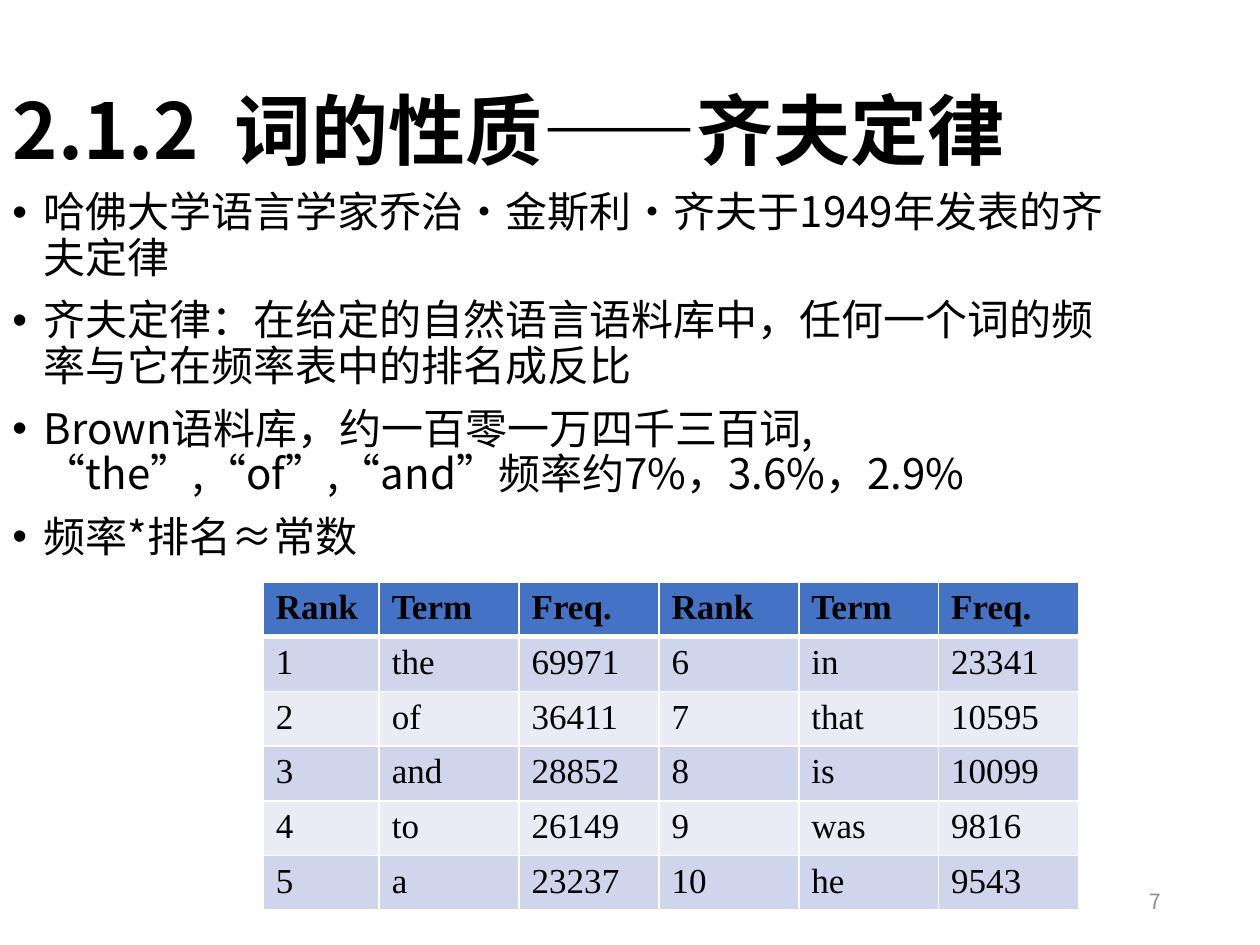
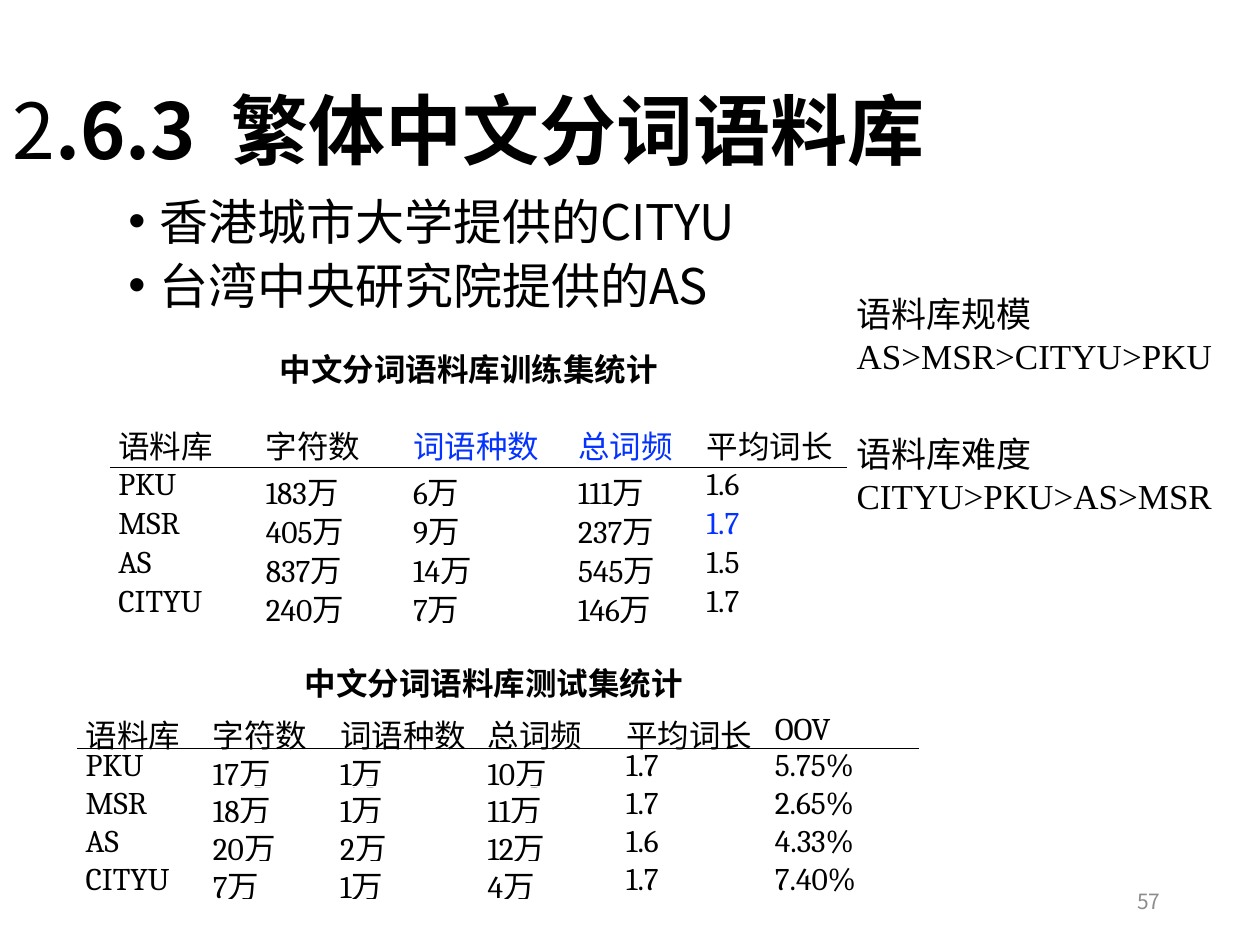
from lxml import etree
from pptx import Presentation
from pptx import util as u
from pptx.dml.color import RGBColor
from pptx.enum import text
from pptx.oxml.ns import qn

SANS, SERIF, BOOK = "Noto Sans CJK SC", "Times New Roman", "Cambria"
BLACK, GREY, WHITE, BLUE = "000000", "8C8C8C", "FFFFFF", "0432FF"
HEADER, BANDS = "4472C4", ("CFD5EA", "E9EBF5")


def color(value):
    return RGBColor.from_string(value)


class Lecture:
    """Hold the deck style and current page; lengths are cells of a 100 by 75 grid."""

    def __init__(self):
        self.deck = Presentation()
        self.deck.slide_width, self.deck.slide_height = u.Inches(10), u.Inches(7.5)

    def size(self, cells):
        return round(cells * self.deck.slide_width / 100)

    def style(self, span, size, font=SANS, shade=BLACK, bold=False):
        span.font.name, span.font.size, span.font.bold = font, u.Pt(size), bold
        span.font.color.rgb = color(shade)
        etree.SubElement(span._r.get_or_add_rPr(), qn("a:ea")).set("typeface", SANS)

    def page(self, number, title):
        self.slide = self.deck.slides.add_slide(self.deck.slide_layouts[5])
        self.title(title)
        self.lines([str(number)], (70.6, 69.5, 22.5, 4), 12, shade=GREY,
                   anchor=text.MSO_ANCHOR.MIDDLE, align=text.PP_ALIGN.RIGHT)

    def title(self, parts):
        box = self.slide.shapes.title
        box.left, box.top, box.width, box.height = map(self.size, (0, 5.8, 87.7, 9.7))
        frame = box.text_frame
        frame.auto_size = text.MSO_AUTO_SIZE.NONE
        frame.vertical_anchor = text.MSO_ANCHOR.MIDDLE
        para = frame.paragraphs[0]
        para.alignment, para.line_spacing = text.PP_ALIGN.LEFT, 0.9
        for words, bold in parts:
            span = para.add_run()
            span.text = words
            self.style(span, 44, bold=bold)
            if words == " ":
                span._r.get_or_add_rPr().set("spc", "1000")

    def lines(self, rows, place, size, font=SANS, shade=BLACK, bold=False, wrap=True,
              anchor=text.MSO_ANCHOR.TOP, align=text.PP_ALIGN.LEFT):
        box = self.slide.shapes.add_textbox(*map(self.size, place))
        frame = box.text_frame
        frame.word_wrap, frame.vertical_anchor = wrap, anchor
        frame.text = "\n".join(rows)
        for para in frame.paragraphs:
            para.alignment = align
            self.style(para.runs[0], size, font, shade, bold)
        return frame.paragraphs

    def bullets(self, rows, place, size, spacing):
        for index, para in enumerate(self.lines(rows, place, size)):
            para.line_spacing = spacing
            if index:
                para.space_before = u.Pt(10)
            props = para._p.get_or_add_pPr()
            props.set("marL", str(u.Inches(0.25)))
            props.set("indent", str(-u.Inches(0.25)))
            etree.SubElement(props, qn("a:buFont")).set("typeface", "Arial")
            etree.SubElement(props, qn("a:buChar")).set("char", "•")

    def table(self, rows, place, widths, heights):
        frame = self.slide.shapes.add_table(len(rows), len(widths), *map(self.size, place))
        table = frame.table
        table.first_row = table.horz_banding = False
        for column, width in zip(table.columns, widths):
            column.width = self.size(width)
        for row, height in zip(table.rows, heights):
            row.height = self.size(height)
        frame.height = self.size(place[3])
        for r, values in enumerate(rows):
            for c, value in enumerate(values):
                cell = table.cell(r, c)
                cell.text_frame.text = value
                yield r, c, cell, cell.text_frame.paragraphs[0].runs[0]

    def border(self, cell, sides):
        for side, (shade, width) in sides.items():
            line = etree.SubElement(cell._tc.get_or_add_tcPr(), qn(f"a:ln{side}"))
            line.set("w", str(u.Pt(width)))
            fill = etree.SubElement(line, qn("a:solidFill"))
            etree.SubElement(fill, qn("a:srgbClr")).set("val", shade)

    def banded_table(self, rows, place, widths, heights):
        for r, c, cell, span in self.table(rows, place, widths, heights):
            sides = {side: (WHITE, 1) for side in "LRTB"}
            if r < 2:
                sides["TB"[r == 0]] = (WHITE, 3)
            self.border(cell, sides)
            cell.fill.solid()
            cell.fill.fore_color.rgb = color(BANDS[(r - 1) % 2] if r else HEADER)
            self.style(span, 20, SERIF, bold=r == 0)

    def ruled_table(self, rows, place, widths, heights, marked=()):
        for r, c, cell, span in self.table(rows, place, widths, heights):
            cell.margin_left = cell.margin_right = self.size(0.6)
            cell.margin_top = cell.margin_bottom = 0
            if r == 0:
                cell.vertical_anchor = text.MSO_ANCHOR.BOTTOM
            if r < 2:
                self.border(cell, {"TB"[r == 0]: (BLACK, 1)})
            cell.fill.background()
            self.style(span, 18, BOOK, BLUE if (r, c) in marked else BLACK)


def zipf_page(lecture):
    lecture.page(7, [("2.1.2", True), (" ", True), ("词的性质——齐夫定律", True)])
    lecture.bullets([
        "哈佛大学语言学家乔治·金斯利·齐夫于1949年发表的齐夫定律",
        "齐夫定律：在给定的自然语言语料库中，任何一个词的频率与它在频率表中的排名成反比",
        "Brown语料库，约一百零一万四千三百词, “the”,“of”,“and”频率约7%，3.6%，2.9%",
        "频率*排名≈常数",
    ], (0, 14.7, 90.8, 31.5), 24, 0.9)
    terms = [("the", 69971), ("of", 36411), ("and", 28852), ("to", 26149), ("a", 23237),
             ("in", 23341), ("that", 10595), ("is", 10099), ("was", 9816), ("he", 9543)]
    ranked = [(str(rank), term, str(count)) for rank, (term, count) in enumerate(terms, 1)]
    rows = [("Rank", "Term", "Freq.") * 2]
    rows += [left + right for left, right in zip(ranked[:5], ranked[5:])]
    lecture.banded_table(rows, (20.9, 46.2, 64.7, 24.6), [9.2] + [11.1] * 5, [4.1] * 6)


def corpus_page(lecture):
    lecture.page(57, [("2", False), (".6.3", True), (" ", True), ("繁体中文分词语料库", True)])
    lecture.bullets(["香港城市大学提供的CITYU", "台湾中央研究院提供的AS"],
                    (9.2, 15.6, 90.8, 9.9), 28, 0.8)
    header = ("语料库", "字符数", "词语种数", "总词频", "平均词长")
    training = [header,
                ("PKU", "183万", "6万", "111万", "1.6"),
                ("MSR", "405万", "9万", "237万", "1.7"),
                ("AS", "837万", "14万", "545万", "1.5"),
                ("CITYU", "240万", "7万", "146万", "1.7")]
    testing = [header + ("OOV",),
               ("PKU", "17万", "1万", "10万", "1.7", "5.75%"),
               ("MSR", "18万", "1万", "11万", "1.7", "2.65%"),
               ("AS", "20万", "2万", "12万", "1.6", "4.33%"),
               ("CITYU", "7万", "1万", "4万", "1.7", "7.40%")]
    lecture.ruled_table(training, (8.8, 31, 58.3, 18.4), [11.7, 11.7, 13.1, 10.2, 11.7],
                        [6.1] + [3.1] * 4, {(0, 2), (0, 3), (2, 4)})
    lecture.ruled_table(testing, (6.2, 56.4, 66.8, 15), [10.1, 10.1, 11.7, 11, 11.8, 12],
                        [2.5] * 5)
    for name, left, top in (("训练集", 21.2, 27.3), ("测试集", 23.2, 52.2)):
        lecture.lines([f"中文分词语料库{name}统计"], (left, top, 32.5, 4), 18, BOOK,
                      bold=True, wrap=False)
    ranking = lecture.lines(["语料库规模", "AS>MSR>CITYU>PKU", "语料库难度", "CITYU>PKU>AS>MSR"],
                            (67, 22.7, 31.2, 19.2), 20, SERIF, wrap=False)
    ranking[2].space_before = u.Pt(32)


def main():
    lecture = Lecture()
    zipf_page(lecture)
    corpus_page(lecture)
    lecture.deck.save("out.pptx")


if __name__ == "__main__":
    main()
